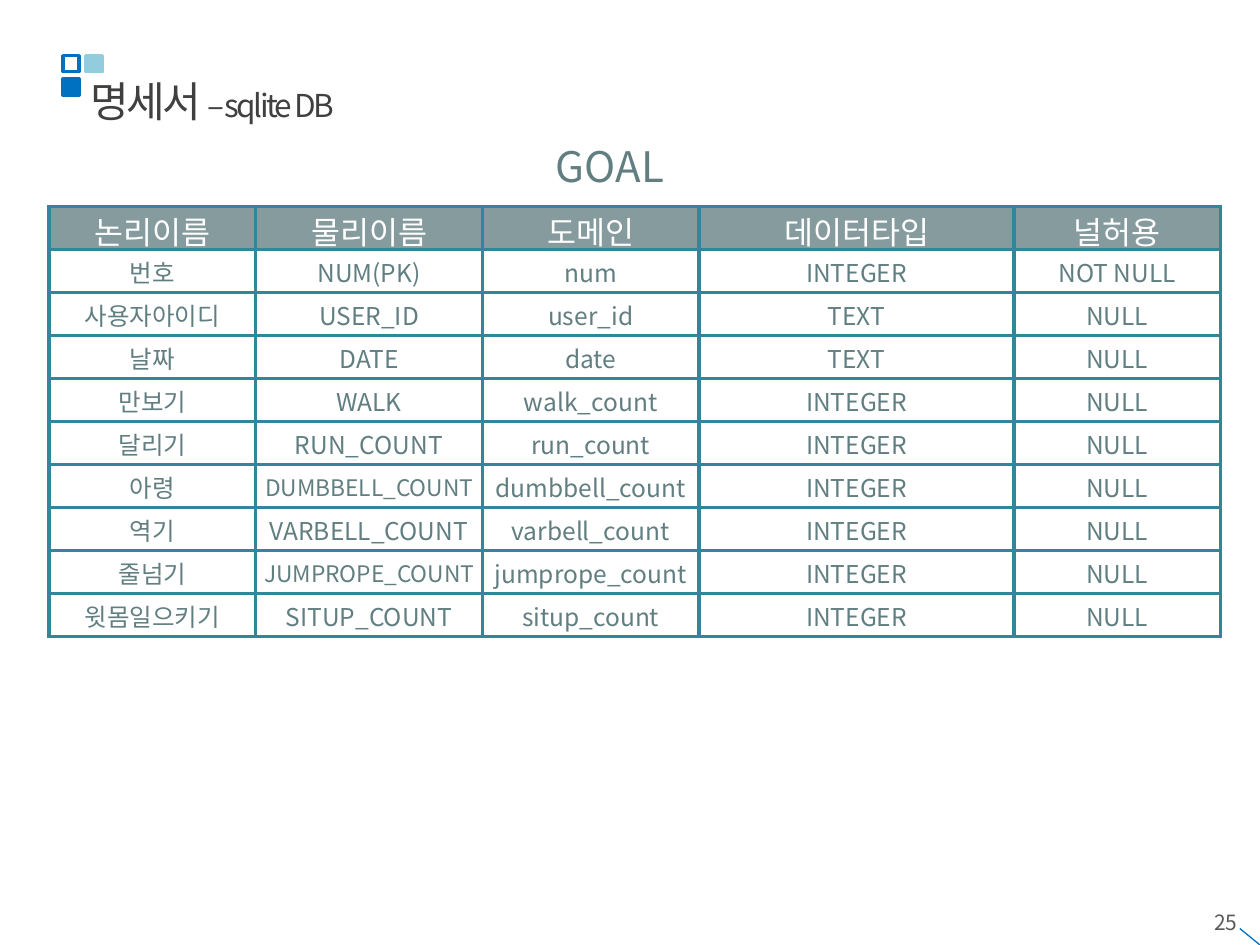
from lxml.etree import SubElement as sub
from pptx import Presentation
from pptx.dml.color import RGBColor
from pptx.enum.shapes import MSO_CONNECTOR as CONNECTOR, MSO_SHAPE as SHAPE
from pptx.enum.text import MSO_ANCHOR as ANCHOR, PP_ALIGN as ALIGN
from pptx.oxml.ns import qn
from pptx.util import Pt

COLORS = {"blue": "0070C0", "sky": "93CDDD", "border": "31859C", "slate": "617E81",
          "white": "FFFFFF", "title": "404040", "number": "595959"}
HEADINGS = ["논리이름", "물리이름", "도메인", "데이터타입", "널허용"]
FIELDS = [
    ("번호", "NUM(PK)", "num", "INTEGER", "NOT NULL"),
    ("사용자아이디", "USER_ID", "user_id", "TEXT", "NULL"),
    ("날짜", "DATE", "date", "TEXT", "NULL"),
    ("만보기", "WALK", "walk_count", "INTEGER", "NULL"),
    ("달리기", "RUN_COUNT", "run_count", "INTEGER", "NULL"),
    ("아령", "DUMBBELL_COUNT", "dumbbell_count", "INTEGER", "NULL"),
    ("역기", "VARBELL_COUNT", "varbell_count", "INTEGER", "NULL"),
    ("줄넘기", "JUMPROPE_COUNT", "jumprope_count", "INTEGER", "NULL"),
    ("윗몸일으키기", "SITUP_COUNT", "situp_count", "INTEGER", "NULL"),
]
SMALL_NAMES = {"DUMBBELL_COUNT", "JUMPROPE_COUNT"}


class Painter:
    """Holds the style and the current slide and draws each kind of element."""

    font = "Noto Sans CJK KR"

    def __init__(self, page):
        self.page = page

    def color(self, name):
        return RGBColor.from_string(COLORS[name])

    def style(self, span, size, color, spacing=None):
        span.font.size = Pt(size)
        span.font.name = self.font
        span.font.color.rgb = self.color(color)
        props = span.font._element
        sub(props, qn("a:ea")).set("typeface", self.font)
        if spacing is not None:
            props.set("spc", str(int(spacing * 100)))

    def text(self, bounds, spans, color, align, spacing=None):
        box = self.page.shapes.add_textbox(*map(Pt, bounds))
        frame = box.text_frame
        frame.word_wrap = True
        frame.vertical_anchor = ANCHOR.MIDDLE
        para = frame.paragraphs[0]
        para.alignment = align
        for words, size in spans:
            span = para.add_run()
            span.text = words
            self.style(span, size, color, spacing)

    def square(self, left, top, side, line, fill=None):
        shape = self.page.shapes.add_shape(SHAPE.RECTANGLE, *map(Pt, (left, top, side, side)))
        shape.shadow.inherit = False
        shape.line.color.rgb = self.color(line)
        shape.line.width = Pt(2)
        if fill:
            shape.fill.solid()
            shape.fill.fore_color.rgb = self.color(fill)
        else:
            shape.fill.background()

    def line(self, start, end, color, width):
        line = self.page.shapes.add_connector(CONNECTOR.STRAIGHT, *map(Pt, (*start, *end)))
        line.line.color.rgb = self.color(color)
        line.line.width = Pt(width)
        sub(line._element.spPr, qn("a:effectLst"))

    def borders(self, cell, color, width):
        props = cell._tc.get_or_add_tcPr()
        for index, side in enumerate(("lnL", "lnR", "lnT", "lnB")):
            edge = props.makeelement(qn(f"a:{side}"), {"w": str(Pt(width))})
            fill = sub(edge, qn("a:solidFill"))
            sub(fill, qn("a:srgbClr")).set("val", COLORS[color])
            props.insert(index, edge)

    def cell(self, cell, words, size, color, fill=None, alpha=100):
        cell.text = words
        cell.vertical_anchor = ANCHOR.MIDDLE
        cell.margin_left = cell.margin_right = cell.margin_top = Pt(0.7)
        cell.margin_bottom = 0
        para = cell.text_frame.paragraphs[0]
        para.alignment = ALIGN.CENTER
        self.style(para.runs[0], size, color)
        if fill:
            cell.fill.solid()
            cell.fill.fore_color.rgb = self.color(fill)
            tint = cell._tc.tcPr.find(".//" + qn("a:srgbClr"))
            sub(tint, qn("a:alpha")).set("val", str(alpha * 1000))
        else:
            cell.fill.background()
        self.borders(cell, "border", 2.25)

    def table(self, left, top, widths, row_height, headings, rows):
        count = len(rows) + 1
        frame = self.page.shapes.add_table(
            count, len(widths), Pt(left), Pt(top), Pt(sum(widths)), Pt(row_height * count))
        table = frame.table
        table.horz_banding = False
        for column, width in zip(table.columns, widths):
            column.width = Pt(width)
        for row in table.rows:
            row.height = Pt(row_height)
        for index, words in enumerate(headings):
            self.cell(table.cell(0, index), words, 18, "white", "slate", 77)
        for number, values in enumerate(rows, 1):
            for index, words in enumerate(values):
                size = 13 if words in SMALL_NAMES else 14
                self.cell(table.cell(number, index), words, size, "slate")


def main():
    deck = Presentation()
    deck.slide_width, deck.slide_height = Pt(720), Pt(540)
    painter = Painter(deck.slides.add_slide(deck.slide_layouts[6]))
    painter.text((546.5, 512.6, 167.8, 28.8), [("25", 12)], "number", ALIGN.RIGHT)
    painter.line((720, 540), (708.5, 530.6), "blue", 0.75)
    painter.square(36, 45.2, 9.2, "blue", "blue")
    painter.square(36, 31.8, 9.2, "blue")
    painter.square(49.2, 31.8, 9.2, "sky", "sky")
    painter.table(28.1, 118.1, [118, 129.6, 123.8, 180, 118], 24.6, HEADINGS, FIELDS)
    painter.text((258.5, 77, 180, 35.3), [("GOAL", 24)], "slate", ALIGN.CENTER)
    painter.text((44.6, 39.6, 618.5, 36), [("명세서 ", 24), ("–sqlite DB", 18)],
                 "title", ALIGN.LEFT, -1.5)
    deck.save("out.pptx")


if __name__ == "__main__":
    main()
